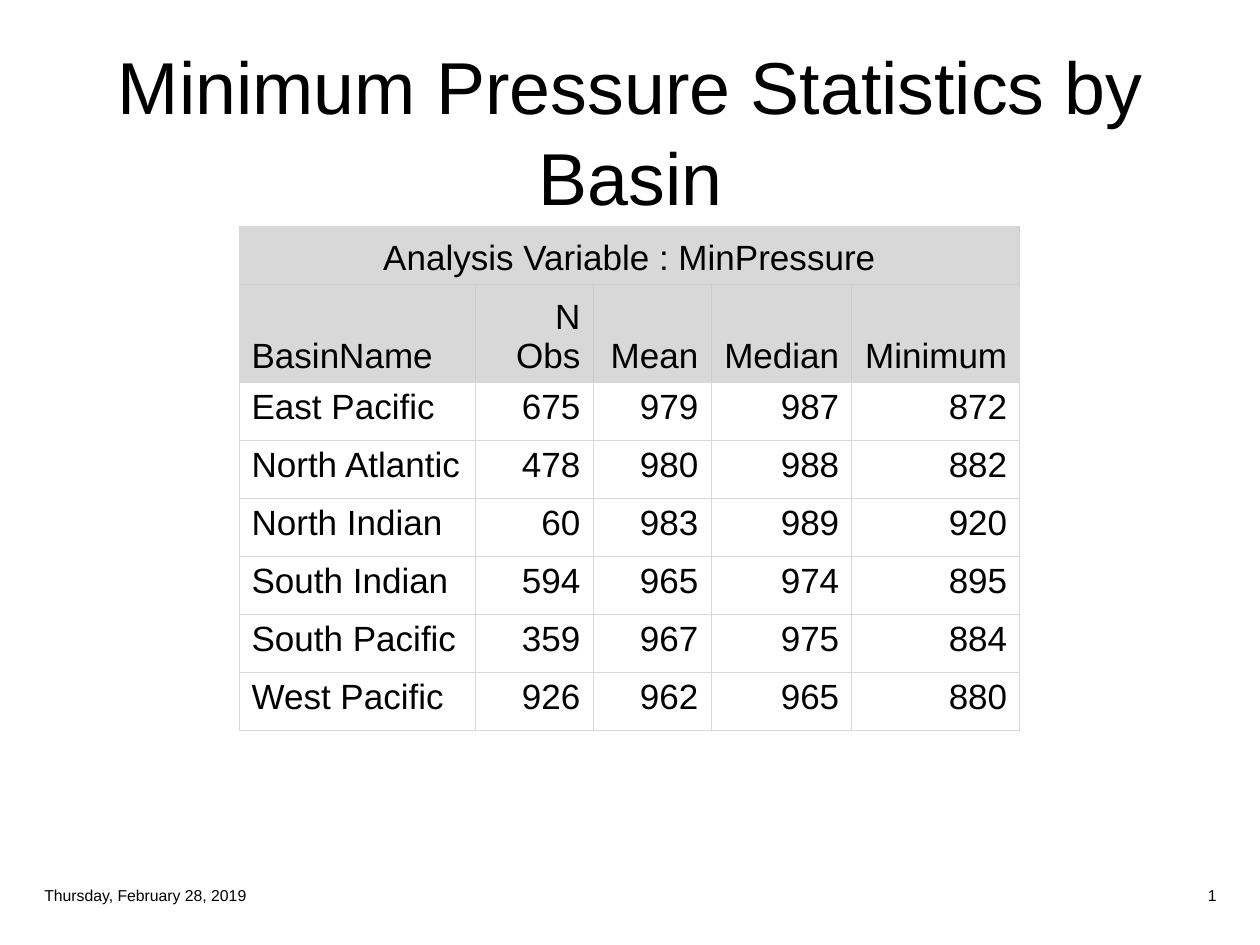
import pptx
import pptx.dml.color
import pptx.enum.text
import pptx.oxml.ns
import pptx.util
from lxml import etree

SCALE = 914400 // 126
FONT = "Arial"
COLORS = {"text": "000000", "header": "D8D8D8", "rule": "D8D8D8",
          "header_rule": "CCCCCC", "cell": "FFFFFF"}
ALIGN = pptx.enum.text.PP_ALIGN
ANCHOR = pptx.enum.text.MSO_ANCHOR

COLUMN_WIDTHS = [236, 118, 118, 141, 168]
ROW_HEIGHTS = [58, 98] + [58] * 6
HEADER_ROWS = 2
ROWS = [
    ["Analysis Variable : MinPressure", "", "", "", ""],
    ["BasinName", "N\vObs", "Mean", "Median", "Minimum"],
    ["East Pacific", "675", "979", "987", "872"],
    ["North Atlantic", "478", "980", "988", "882"],
    ["North Indian", "60", "983", "989", "920"],
    ["South Indian", "594", "965", "974", "895"],
    ["South Pacific", "359", "967", "975", "884"],
    ["West Pacific", "926", "962", "965", "880"],
]


def px(pixels):
    """Turn whole pixels into EMU."""
    return pptx.util.Emu(pixels * SCALE)


def color(name):
    """Look up a named colour."""
    return pptx.dml.color.RGBColor.from_string(COLORS[name])


def write(text_frame, text, size, align):
    """Write one formatted paragraph and return it."""
    paragraph = text_frame.paragraphs[0]
    paragraph.text = text
    paragraph.alignment = align
    paragraph.font.name = FONT
    paragraph.font.size = pptx.util.Pt(size)
    paragraph.font.bold = False
    paragraph.font.color.rgb = color("text")
    return paragraph


def add_title(slide, text):
    """Place and fill the title placeholder."""
    title = slide.shapes.title
    title.left, title.top, title.width, title.height = map(px, (32, 32, 1197, 186))
    frame = title.text_frame
    frame.auto_size = pptx.enum.text.MSO_AUTO_SIZE.NONE
    frame.word_wrap = True
    frame.vertical_anchor = ANCHOR.MIDDLE
    frame.margin_top = px(14)
    write(frame, text, 42, ALIGN.CENTER).line_spacing = 1.04


def add_footer(slide, left, text, align):
    """Add a small text box at the foot of the slide."""
    box = slide.shapes.add_textbox(px(left), px(878), px(300), px(35))
    box.text_frame.word_wrap = True
    box.text_frame.vertical_anchor = ANCHOR.MIDDLE
    write(box.text_frame, text, 9, align)


def set_borders(cell, rules):
    """Draw half-point borders; rules maps each side to a colour name."""
    properties = cell._tc.get_or_add_tcPr()
    qn = pptx.oxml.ns.qn
    for index, side in enumerate("LRTB"):
        line = etree.Element(qn("a:ln" + side), w=str(pptx.util.Pt(0.5)))
        fill = etree.SubElement(line, qn("a:solidFill"))
        etree.SubElement(fill, qn("a:srgbClr"), val=COLORS[rules[side]])
        properties.insert(index, line)


def format_cell(cell, text, row, column):
    """Fill one cell according to its row and column."""
    is_header = row < HEADER_ROWS
    align = ALIGN.CENTER if row == 0 else ALIGN.RIGHT if column else ALIGN.LEFT
    write(cell.text_frame, text, 20, align)
    cell.vertical_anchor = ANCHOR.BOTTOM if is_header else ANCHOR.TOP
    cell.fill.solid()
    cell.fill.fore_color.rgb = color("header" if is_header else "cell")
    rules = dict.fromkeys("LRTB", "header_rule" if is_header else "rule")
    outer = {"L": column == 0, "T": row == 0,
             "R": row > 0 and column == len(COLUMN_WIDTHS) - 1}
    rules.update({side: "rule" for side, edge in outer.items() if edge})
    set_borders(cell, rules)


def add_statistics_table(slide):
    """Add the table of pressure statistics."""
    frame = slide.shapes.add_table(
        len(ROWS), len(COLUMN_WIDTHS), px(239), px(226),
        px(sum(COLUMN_WIDTHS)), px(sum(ROW_HEIGHTS)))
    table = frame.table
    table.first_row = table.horz_banding = False
    for column, width in zip(table.columns, COLUMN_WIDTHS):
        column.width = px(width)
    for row, height in zip(table.rows, ROW_HEIGHTS):
        row.height = px(height)
    for row, texts in enumerate(ROWS):
        for column, text in enumerate(texts):
            format_cell(table.cell(row, column), text, row, column)
    table.cell(0, 0).merge(table.cell(0, len(COLUMN_WIDTHS) - 1))


def main():
    """Build and save the slide."""
    presentation = pptx.Presentation()
    presentation.slide_width, presentation.slide_height = px(1260), px(945)
    slide = presentation.slides.add_slide(presentation.slide_layouts[5])
    add_title(slide, "Minimum Pressure Statistics by\vBasin")
    add_statistics_table(slide)
    add_footer(slide, 32, "Thursday, February 28, 2019", ALIGN.LEFT)
    add_footer(slide, 929, "1", ALIGN.RIGHT)
    presentation.save("out.pptx")


main()
